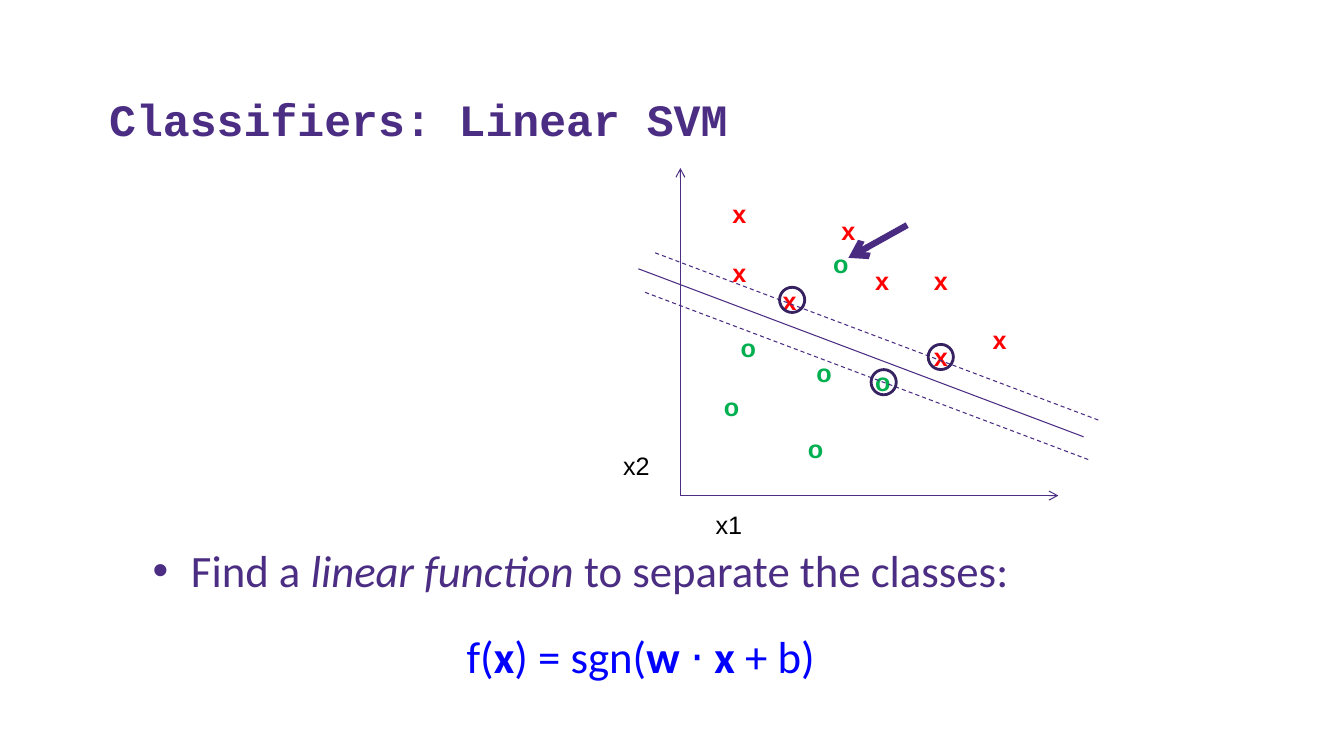
from lxml import etree
from pptx import Presentation
from pptx.dml.color import RGBColor as Rgb
from pptx.enum.dml import MSO_LINE as Dash
from pptx.enum.shapes import MSO_CONNECTOR as Link, MSO_SHAPE as Kind
from pptx.enum.text import MSO_ANCHOR as Anchor, MSO_AUTO_SIZE as Fit, PP_ALIGN as Align
from pptx.oxml.ns import qn
from pptx.util import Inches, Pt

HUES = {"title": "4B2E83", "line": "492B82", "ring": "372261", "x": "FF0000",
        "o": "00B050", "label": "000000", "math": "0000FF"}
COLS, ROWS = 160, 90
CELL = Inches(1) / 12

deck = Presentation()
deck.slide_width, deck.slide_height = int(COLS * CELL), int(ROWS * CELL)
slide = deck.slides.add_slide(deck.slide_layouts[5])
shapes = slide.shapes


def grid(*cells):
    """Turn grid columns and rows into lengths."""
    return [round(n * CELL) for n in cells]


def draw(start, end, hue, width=0.75, dash=False, arrow=False):
    line = shapes.add_connector(Link.STRAIGHT, *grid(*start, *end))
    line.line.color.rgb = Rgb.from_string(HUES[hue])
    line.line.width = Pt(width)
    if dash:
        line.line.dash_style = Dash.DASH
    if arrow:
        etree.SubElement(line.line._get_or_add_ln(), qn("a:tailEnd"), type="arrow")
    etree.SubElement(line._element.spPr, qn("a:effectLst"))


# Title
title = shapes.title
title.left, title.top, title.width, title.height = grid(11.8, 4.9, 143.2, 13)
frame = title.text_frame
frame.text = "Classifiers: Linear SVM"
frame.auto_size, frame.vertical_anchor = Fit.NONE, Anchor.BOTTOM
head = frame.paragraphs[0]
head.alignment = Align.LEFT
head.font.name, head.font.size, head.font.bold = "Courier New", Pt(32), True
head.font.color.rgb = Rgb.from_string(HUES["title"])

# Data points and axis names: text, hue, box width, places
marks = [
    ("x", "x", 4.08, [(103, 31), (110, 31), (110, 40), (117, 38),
                      (86, 23), (86, 30), (99, 25), (92, 33.4)]),
    ("o", "o", 4.24, [(98, 29), (103, 43), (85, 46), (87, 39), (95, 51), (96, 42)]),
    ("x2", "label", 5.6, [(73, 53)]),
    ("x1", "label", 5.6, [(84, 60)]),
]
for text, hue, width, spots in marks:
    for col, row in spots:
        frame = shapes.add_textbox(*grid(col, row, width, 4.85)).text_frame
        frame.word_wrap = False
        frame.text = text
        font = frame.paragraphs[0].font
        font.name, font.size, font.bold = "Arial", Pt(18), hue != "label"
        font.color.rgb = Rgb.from_string(HUES[hue])

# Axes
base = (81, 59)
for end in [(81, 20), (126, 59)]:
    draw(base, end, "title", arrow=True)

# Decision line between its two margins, all with one slope
RUN, FALL = 53, 20
for col, row, dash in [(76, 32, False), (78, 30.1, True), (76.8, 34.8, True)]:
    draw((col, row), (col + RUN, row + FALL), "line", dash=dash)

# Support vectors
for col, row in [(92.8, 34.2), (110.5, 41), (103.7, 44)]:
    ring = shapes.add_shape(Kind.OVAL, *grid(col, row, 3, 3))
    ring.shadow.inherit = False
    ring.fill.background()
    ring.line.color.rgb = Rgb.from_string(HUES["ring"])
    ring.line.width = Pt(2)

# Pointer to the outlier
draw((108, 26.8), (101, 30.7), "line", width=4.5, arrow=True)

# Statement and formula
frame = shapes.add_textbox(*grid(17, 64, 114, 17.4)).text_frame
frame.word_wrap = True
point, rule = frame.paragraphs[0], frame.add_paragraph()
indent = Inches(0.38)
props = point._p.get_or_add_pPr()
props.set("marL", str(indent))
props.set("indent", str(-indent))
etree.SubElement(props, qn("a:buFont"), typeface="Arial")
etree.SubElement(props, qn("a:buChar"), char="•")
rule._p.get_or_add_pPr().set("marL", str(indent))
rule.alignment = Align.CENTER
rule.space_before = Pt(23)

for para, hue in [(point, "title"), (rule, "math")]:
    para.font.name, para.font.size = "Calibri", Pt(32)
    para.font.color.rgb = Rgb.from_string(HUES[hue])
for text, slant in [("Find a ", False), ("linear function ", True),
                    ("to separate the classes:", False)]:
    run = point.add_run()
    run.text, run.font.italic = text, slant
for text, bold in [("f(", False), ("x", True), (") = sgn(", False), ("w ", True),
                   ("⋅ ", False), ("x ", True), ("+ b)", False)]:
    run = rule.add_run()
    run.text, run.font.bold = text, bold

deck.save("out.pptx")
